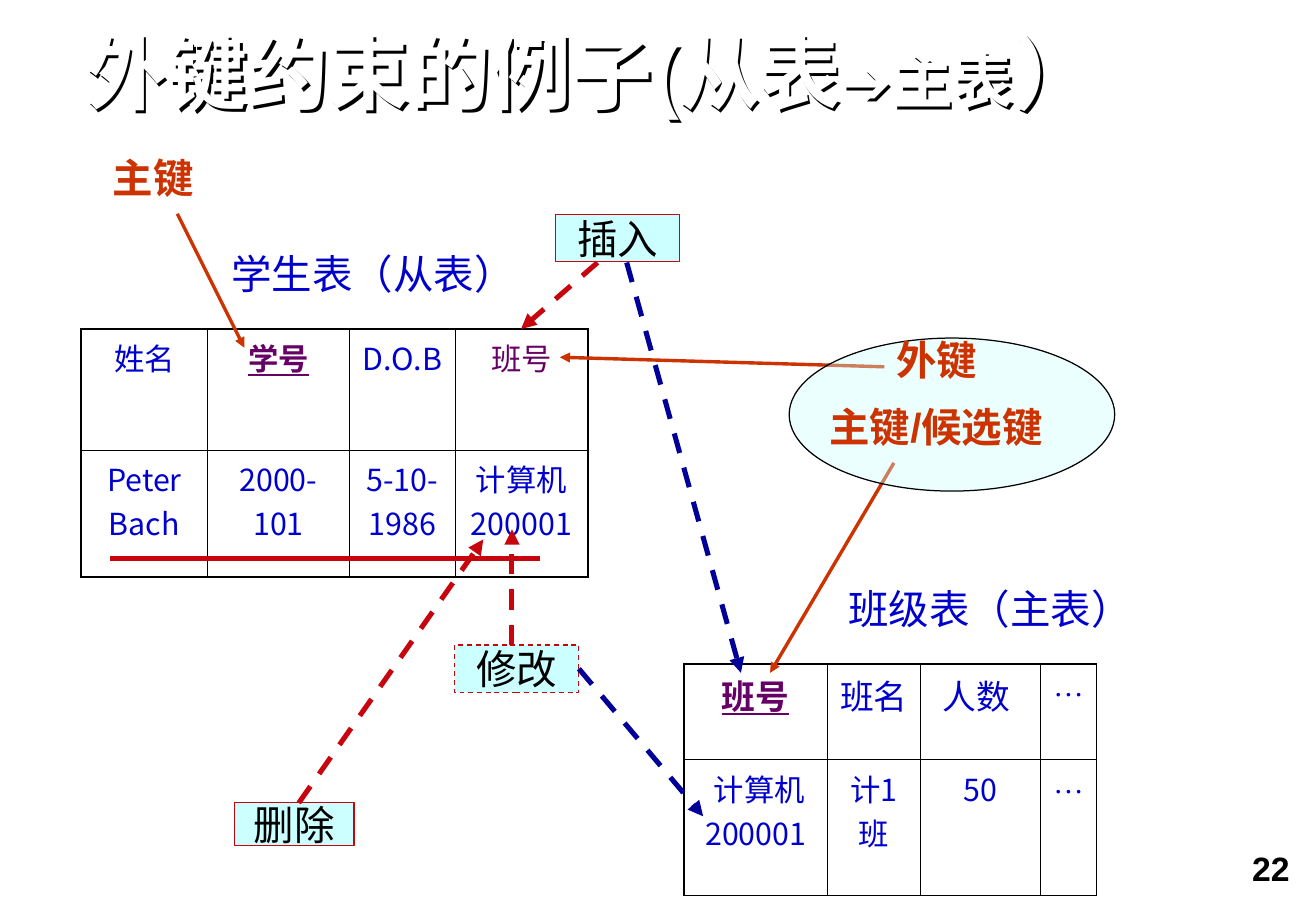
from lxml.etree import SubElement
from pptx import Presentation
from pptx.dml.color import RGBColor
from pptx.enum.dml import MSO_LINE
from pptx.enum.shapes import MSO_CONNECTOR, MSO_SHAPE
from pptx.enum.text import MSO_ANCHOR, MSO_AUTO_SIZE, PP_ALIGN
from pptx.oxml.ns import qn
from pptx.util import Cm, Pt

CJK_FONT = "Noto Sans CJK SC"
BLACK, WHITE, BLUE, NAVY = "000000", "FFFFFF", "0000CC", "000099"
PURPLE, ORANGE, RED, CYAN = "660066", "CC3300", "C7050E", "CCFFFF"


def colour(hex_text):
    return RGBColor.from_string(hex_text)


class SlideBuilder:
    """Holds the slide and the shared style of its elements."""

    def __init__(self, slide):
        self.slide = slide
        self.shapes = slide.shapes

    def style(self, paragraph, size, hex_text, name="Arial", bold=False,
              underline=False, align=PP_ALIGN.LEFT):
        paragraph.alignment = align
        font = paragraph.font
        font.size, font.bold, font.underline = Pt(size), bold, underline
        font.color.rgb = colour(hex_text)
        font.name = name
        latin = paragraph._p.pPr.find(qn("a:defRPr")).find(qn("a:latin"))
        east_asian = SubElement(latin.getparent(), qn("a:ea"))
        east_asian.set("typeface", CJK_FONT)

    def title(self, pieces, left, top, width, height):
        shape = self.shapes.title
        shape.left, shape.top = Cm(left), Cm(top)
        shape.width, shape.height = Cm(width), Cm(height)
        # Shadow of the unfilled box falls from its white letters
        shape.fill.background()
        effects = SubElement(shape._element.spPr, qn("a:effectLst"))
        shadow = SubElement(effects, qn("a:outerShdw"), blurRad="0",
                            dist=str(Pt(2)), dir="2700000", algn="tl", rotWithShape="0")
        SubElement(shadow, qn("a:srgbClr"), val=BLACK)
        frame = shape.text_frame
        frame.margin_left = frame.margin_right = 0
        frame.margin_top = frame.margin_bottom = 0
        frame.vertical_anchor = MSO_ANCHOR.BOTTOM
        frame.auto_size = MSO_AUTO_SIZE.NONE
        paragraph = frame.paragraphs[0]
        paragraph.line_spacing = 0.9
        self.style(paragraph, 48, WHITE, bold=True)
        for text, size in pieces:
            run = paragraph.add_run()
            run.text = text
            run.font.size = Pt(size)

    def text(self, text, left, top, width, height, size=24, hex_text=ORANGE, **style):
        box = self.shapes.add_textbox(Cm(left), Cm(top), Cm(width), Cm(height))
        box.text_frame.word_wrap = True
        paragraph = box.text_frame.paragraphs[0]
        paragraph.text = text
        self.style(paragraph, size, hex_text, **style)
        return box

    def shape(self, kind, left, top, width, height, line):
        shape = self.shapes.add_shape(kind, Cm(left), Cm(top), Cm(width), Cm(height))
        shape.shadow.inherit = False
        shape.fill.solid()
        shape.fill.fore_color.rgb = colour(CYAN)
        shape.line.color.rgb = colour(line)
        shape.line.width = Pt(0.75)
        return shape

    def ellipse(self, left, top, width, height, opacity):
        shape = self.shape(MSO_SHAPE.OVAL, left, top, width, height, BLACK)
        fill = shape._element.spPr.find(qn("a:solidFill"))
        SubElement(fill[0], qn("a:alpha"), val=str(opacity * 1000))

    def operation(self, text, left, top, width, height, dashed=False):
        shape = self.shape(MSO_SHAPE.RECTANGLE, left, top, width, height, RED)
        if dashed:
            shape.line.dash_style = MSO_LINE.DASH
        frame = shape.text_frame
        frame.word_wrap = False
        frame.vertical_anchor = MSO_ANCHOR.MIDDLE
        frame.paragraphs[0].text = text
        self.style(frame.paragraphs[0], 24, BLACK, align=PP_ALIGN.CENTER)
        return shape

    def line(self, start, end, hex_text, width=3, dashed=False, arrow=True):
        connector = self.shapes.add_connector(
            MSO_CONNECTOR.STRAIGHT, *[Cm(value) for value in (*start, *end)])
        connector.line.color.rgb = colour(hex_text)
        connector.line.width = Pt(width)
        if dashed:
            connector.line.dash_style = MSO_LINE.DASH
        if arrow:
            SubElement(connector.line._get_or_add_ln(), qn("a:tailEnd"), type="triangle")
        SubElement(connector._element.spPr, qn("a:effectLst"))
        return connector

    def borders(self, cell, outer_sides):
        properties = cell._tc.get_or_add_tcPr()
        for position, side in enumerate("LRTB"):
            width = 1.08 if side in outer_sides else 0.45
            line = SubElement(properties, qn(f"a:ln{side}"), w=str(Pt(width)))
            fill = SubElement(line, qn("a:solidFill"))
            SubElement(fill, qn("a:srgbClr"), val=BLACK)
            properties.insert(position, line)

    def table(self, rows, left, top, widths, heights, header_size, key_styles):
        frame = self.shapes.add_table(len(rows), len(widths), Cm(left), Cm(top),
                                      Cm(sum(widths)), Cm(sum(heights)))
        table = frame.table
        table.first_row = table.horz_banding = False
        for column, width in zip(table.columns, widths):
            column.width = Cm(width)
        for row, height in zip(table.rows, heights):
            row.height = Cm(height)
        last_row, last_column = len(rows) - 1, len(widths) - 1
        for r, texts in enumerate(rows):
            for c, text in enumerate(texts):
                cell = table.cell(r, c)
                cell.fill.background()
                outer = {"L": c == 0, "R": c == last_column,
                         "T": r == 0, "B": r == last_row}
                self.borders(cell, [side for side, is_outer in outer.items() if is_outer])
                paragraph = cell.text_frame.paragraphs[0]
                paragraph.text = text
                dots = text == "…"
                style = {"size": header_size if r == 0 and not dots else 18,
                         "hex_text": BLUE,
                         "name": "Times New Roman" if dots else CJK_FONT}
                if r == 0:
                    style.update(key_styles.get(c, {}))
                self.style(paragraph, align=PP_ALIGN.CENTER, **style)


def main():
    presentation = Presentation()
    presentation.slide_width, presentation.slide_height = Cm(27.53), Cm(19.05)
    builder = SlideBuilder(presentation.slides.add_slide(presentation.slide_layouts[5]))
    primary_key = {"hex_text": PURPLE, "bold": True, "underline": True}
    foreign_key = {"hex_text": PURPLE}

    # Title and page number
    builder.title([("外键约束的例子(从表", 48), ("➔主表", 36), ("）", 48)],
                  1.8, 0.71, 24.51, 1.83)
    number = builder.text("22", 20.35, 17.58, 6.96, 1.47, 20, BLACK,
                          bold=True, align=PP_ALIGN.RIGHT)
    number.text_frame.margin_right = Cm(0.33)
    number.text_frame.margin_top = Cm(0.15)

    # Student and class tables
    builder.table([["姓名", "学号", "D.O.B", "班号"],
                   ["Peter Bach", "2000-101", "5-10-1986", "计算机200001"]],
                  1.7, 6.88, [2.64, 2.97, 2.21, 2.78], [2.54, 2.64], 18,
                  {1: primary_key, 3: foreign_key})
    builder.table([["班号", "班名", "人数 ", "…"],
                   [" 计算机200001", "计1班", "50", "…"]],
                  14.31, 13.88, [3, 1.94, 2.52, 1.17], [2.01, 2.84], 20,
                  {0: primary_key})
    builder.text("学生表（从表）", 4.5, 5.08, 6.6, 1.27, hex_text=BLUE,
                 align=PP_ALIGN.CENTER)
    builder.text("班级表（主表）", 17.5, 12.08, 6.81, 1.27, hex_text=BLUE)

    # Key arrows and labels
    for start, end in [((18.7, 9.68), (16.11, 14.07)),
                       ((18.5, 7.67), (11.71, 7.47)),
                       ((3.71, 4.47), (5.11, 7.27))]:
        builder.line(start, end, ORANGE, width=2)
    builder.ellipse(16.51, 7.07, 6.81, 3.2, opacity=37)
    for label, left, top, width in [("主键", 2.11, 3.07, 3),
                                    ("外键", 18.5, 6.88, 2.54),
                                    ("主键/候选键", 17.1, 8.28, 6.4)]:
        builder.text(label, left, top, width, 1.27, bold=True)

    # Operations and the rows they affect
    builder.operation("插入", 11.62, 4.48, 2.6, 0.99)
    builder.operation("删除", 4.9, 16.79, 2.51, 0.89)
    update = builder.operation("修改", 9.51, 13.49, 2.6, 0.99, dashed=True)
    for start, end, hex_text in [((12.5, 5.49), (10.9, 6.88), RED),
                                 ((6.25, 16.79), (10.11, 11.28), RED),
                                 ((10.71, 13.49), (10.71, 11.07), RED),
                                 ((13.11, 5.49), (15.5, 14.07), NAVY)]:
        builder.line(start, end, hex_text, dashed=True)
    update_class = builder.line((12.11, 13.99), (14.71, 17.07), NAVY, dashed=True)
    update_class.begin_connect(update, 3)
    builder.line((2.3, 11.68), (11.3, 11.68), RED, arrow=False)

    presentation.save("out.pptx")


if __name__ == "__main__":
    main()
